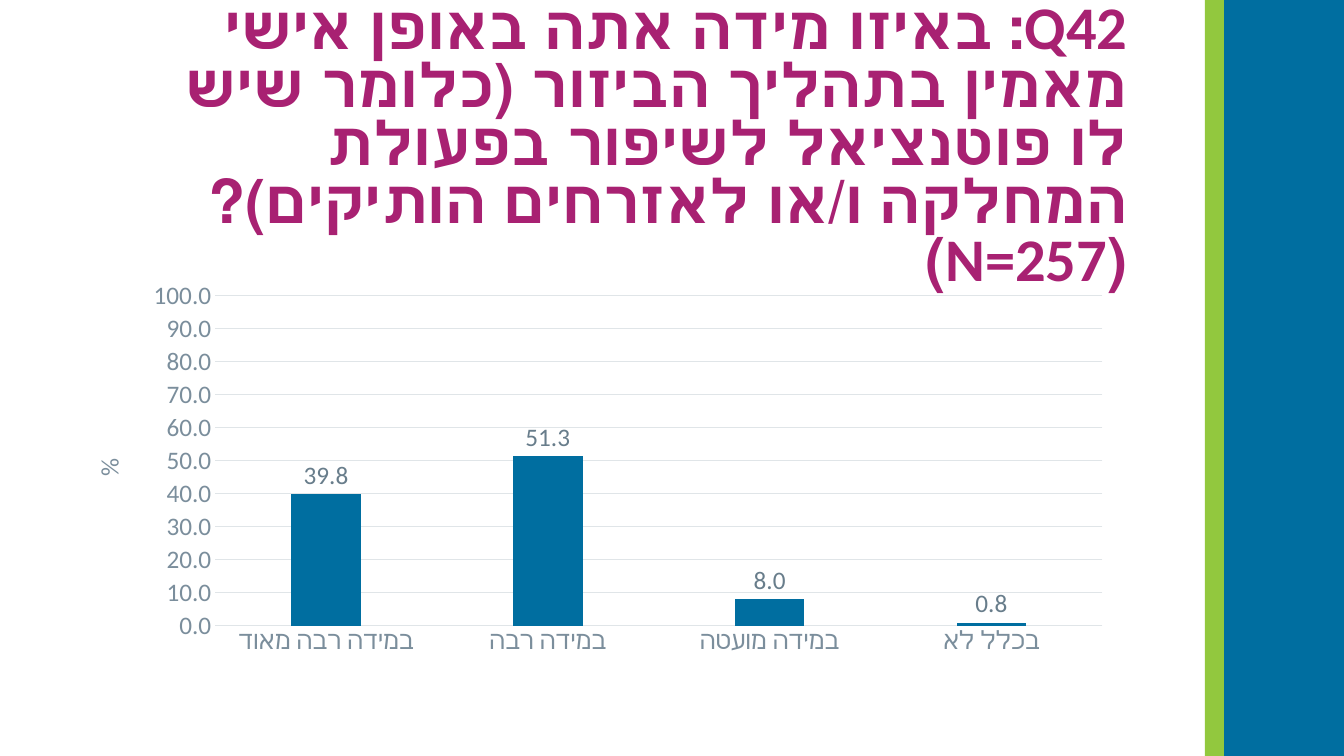
import pptx
import pptx.chart.data
import pptx.dml.color
import pptx.enum.chart
import pptx.enum.shapes
import pptx.enum.text
import pptx.oxml
import pptx.oxml.ns
import pptx.util
from lxml import etree
from pptx.util import Inches

FONT = "Calibri"
COLORS = {
    "blue": "006EA0",
    "green": "92C83E",
    "plum": "A82172",
    "text": "424F58",
    "axis": "7B8E9C",
    "label": "687D8B",
    "grid": "E0E5E8",
}
TITLE = (
    "Q42: באיזו מידה אתה באופן אישי מאמין בתהליך הביזור "
    "(כלומר שיש לו פוטנציאל לשיפור בפעולת המחלקה ו/או לאזרחים הותיקים)? (N=257)"
)
ANSWERS = {
    "במידה רבה מאוד": 39.8,
    "במידה רבה": 51.3,
    "במידה מועטה": 8.0,
    "בכלל לא": 0.8,
}
PLOT = {"x": 0.128, "y": 0.045, "w": 0.838, "h": 0.758}


def rgb(name):
    """Return the named colour."""
    return pptx.dml.color.RGBColor.from_string(COLORS[name])


def style(font, color, size=18, bold=False):
    """Set face, size, weight and colour of a font."""
    font.name = FONT
    font.size = pptx.util.Pt(size)
    font.bold = bold
    font.color.rgb = rgb(color)


def rule(line):
    """Draw a thin pale line."""
    line.color.rgb = rgb("grid")
    line.width = pptx.util.Pt(0.75)


def add_band(slide, left, width, color):
    """Add a full-height vertical band."""
    kind = pptx.enum.shapes.MSO_SHAPE.RECTANGLE
    band = slide.shapes.add_shape(
        kind, Inches(left), 0, Inches(width), Inches(7.5)
    )
    band.shadow.inherit = False
    band.fill.solid()
    band.fill.fore_color.rgb = rgb(color)
    band.line.fill.background()


def add_title(slide):
    """Add the right-to-left question."""
    box = slide.shapes.add_textbox(
        Inches(1.02), Inches(0.74), Inches(10.26), Inches(1.45)
    )
    frame = box.text_frame
    frame.word_wrap = True
    frame.vertical_anchor = pptx.enum.text.MSO_ANCHOR.MIDDLE
    para = frame.paragraphs[0]
    para.alignment = pptx.enum.text.PP_ALIGN.RIGHT
    para.line_spacing = 0.8
    para._p.get_or_add_pPr().set("rtl", "1")
    run = para.add_run()
    run.text = TITLE
    style(run.font, "plum", 43.2, True)


def set_plot(chart):
    """Fix the inner plot area."""
    area = chart._chartSpace.chart.plotArea
    for old in area.findall(pptx.oxml.ns.qn("c:layout")):
        area.remove(old)
    layout = etree.Element(pptx.oxml.ns.qn("c:layout"))
    manual = etree.SubElement(layout, pptx.oxml.ns.qn("c:manualLayout"))
    parts = {"layoutTarget": "inner", "xMode": "edge", "yMode": "edge", **PLOT}
    for tag, value in parts.items():
        etree.SubElement(
            manual, pptx.oxml.ns.qn("c:" + tag), val=str(value)
        )
    area.insert(0, layout)


def set_axes(chart):
    """Style both axes and the upright axis title."""
    none = pptx.enum.chart.XL_TICK_MARK.NONE
    cat, val = chart.category_axis, chart.value_axis
    for axis in (cat, val):
        axis.major_tick_mark = axis.minor_tick_mark = none
        style(axis.tick_labels.font, "axis")
    rule(cat.format.line)
    val.format.line.fill.background()
    val.minimum_scale, val.maximum_scale, val.major_unit = 0, 100, 10
    val.has_major_gridlines = True
    rule(val.major_gridlines.format.line)
    val.tick_labels.number_format = "0.0"
    val.tick_labels.number_format_is_linked = False
    frame = val.axis_title.text_frame
    body = frame._txBody.find(pptx.oxml.ns.qn("a:bodyPr"))
    body.set("rot", "-5400000")
    body.set("vert", "horz")
    run = frame.paragraphs[0].add_run()
    run.text = "%"
    style(run.font, "axis")


def add_chart(slide):
    """Add the column chart of answers."""
    data = pptx.chart.data.CategoryChartData(number_format="0.0")
    data.categories = list(ANSWERS)
    data.add_series("Series 1", list(ANSWERS.values()))
    chart = slide.shapes.add_chart(
        pptx.enum.chart.XL_CHART_TYPE.COLUMN_CLUSTERED,
        Inches(0.79), Inches(2.74), Inches(10.5), Inches(4.32), data,
    ).chart
    style(chart.font, "text")
    chart.has_title = False
    chart.has_legend = False
    set_plot(chart)
    set_axes(chart)
    plot = chart.plots[0]
    plot.vary_by_categories = False
    plot.gap_width, plot.overlap = 219, -27
    fill = plot.series[0].format.fill
    fill.solid()
    fill.fore_color.rgb = rgb("blue")
    labels = plot.series[0].data_labels
    labels.show_value = True
    labels.position = pptx.enum.chart.XL_LABEL_POSITION.OUTSIDE_END
    labels.number_format = "0.0"
    labels.number_format_is_linked = False
    style(labels.font, "label")


def main():
    """Build and save the slide."""
    deck = pptx.Presentation()
    deck.slide_width, deck.slide_height = Inches(13.33), Inches(7.5)
    slide = deck.slides.add_slide(deck.slide_layouts[6])
    add_band(slide, 11.95, 0.2, "green")
    add_band(slide, 12.14, 1.19, "blue")
    add_title(slide)
    add_chart(slide)
    deck.save("out.pptx")


if __name__ == "__main__":
    main()
